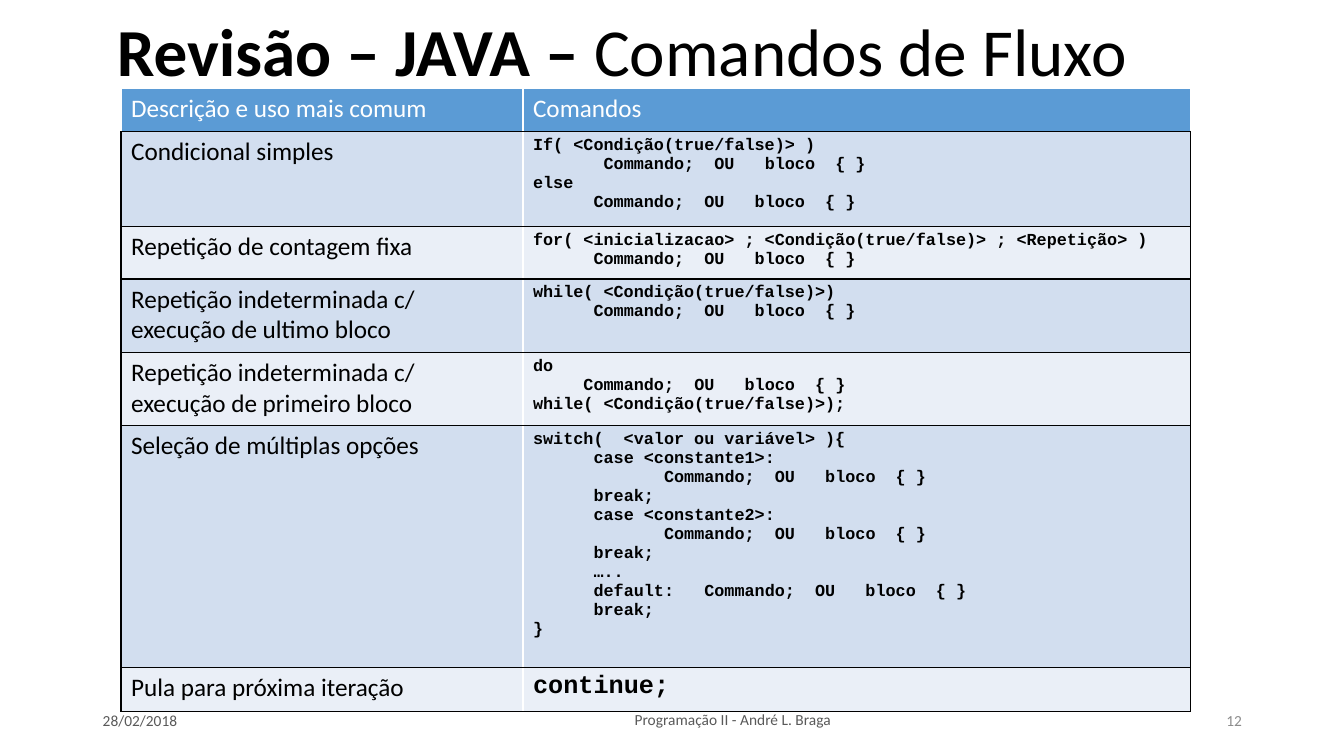
from lxml.etree import SubElement
from pptx import Presentation
from pptx.dml.color import RGBColor as Rgb
from pptx.enum.text import MSO_ANCHOR as Anchor, MSO_AUTO_SIZE as Fit, PP_ALIGN as Align
from pptx.oxml.ns import qn
from pptx.util import Cm, Pt

HUES = {"black": "000000", "white": "FFFFFF", "head": "5B9BD5",
        "dark": "D2DEEF", "light": "EAEFF7", "gray": "595959", "pale": "8C8C8C"}
CHAR = 0.254
BLOCK = "Commando;  OU   bloco  { }"
CASE = [(13, BLOCK), (6, "break;")]
ROWS = [
    (2.39, "Condicional simples", 12,
     [(0, "If( <Condição(true/false)> )"), (7, BLOCK), (0, "else"), (6, BLOCK)]),
    (1.33, "Repetição de contagem fixa", 12,
     [(0, "for( <inicializacao> ; <Condição(true/false)> ; <Repetição> )"), (6, BLOCK)]),
    (1.85, "Repetição indeterminada c/ execução de ultimo bloco", 12,
     [(0, "while( <Condição(true/false)>)"), (6, BLOCK)]),
    (1.85, "Repetição indeterminada c/ execução de primeiro bloco", 12,
     [(0, "do"), (5, BLOCK), (0, "while( <Condição(true/false)>);")]),
    (6.1, "Seleção de múltiplas opções", 12,
     [(0, "switch(  <valor ou variável> ){"),
      (6, "case <constante1>:"), *CASE,
      (6, "case <constante2>:"), *CASE,
      (6, "….."), (6, "default:   " + BLOCK), (6, "break;"), (0, "}")]),
    (1.1, "Pula para próxima iteração", 18, [(0, "continue;")]),
]


def style(para, size, hue, face="Calibri", bold=None):
    font = para.font
    font.size, font.name, font.bold = Pt(size), face, bold
    font.color.rgb = Rgb.from_string(HUES[hue])


def put_title(slide):
    title = slide.shapes.title
    title.left, title.top, title.width, title.height = Cm(2.69), Cm(-0.05), Cm(30.2), Cm(2.84)
    frame = title.text_frame
    frame.auto_size, frame.vertical_anchor = Fit.NONE, Anchor.MIDDLE
    para = frame.paragraphs[0]
    para.alignment, para.line_spacing = Align.LEFT, 0.9
    style(para, 48, "black")
    for text, bold in (("Revisão – JAVA – ", True), ("Comandos de Fluxo", False)):
        run = para.add_run()
        run.text, run.font.bold = text, bold


def put_note(slide, text, left, top, width, align, hue):
    box = slide.shapes.add_textbox(Cm(left), Cm(top), Cm(width), Cm(1.01))
    frame = box.text_frame
    frame.word_wrap, frame.vertical_anchor = True, Anchor.MIDDLE
    para = frame.paragraphs[0]
    para.text, para.alignment = text, align
    style(para, 11, hue)


def paint(cell, fill, edges):
    props = cell._tc.get_or_add_tcPr()
    for side, hue in zip("LRTB", edges):
        line = SubElement(props, qn("a:ln" + side), w=str(Pt(1)))
        solid = SubElement(line, qn("a:solidFill"))
        SubElement(solid, qn("a:srgbClr"), val=HUES[hue])
    cell.fill.solid()
    cell.fill.fore_color.rgb = Rgb.from_string(HUES[fill])


def put_code(cell, lines, size):
    frame = cell.text_frame
    for i, (depth, text) in enumerate(lines):
        para = frame.add_paragraph() if i else frame.paragraphs[0]
        para.text = text
        style(para, size, "black", "Courier New", True)
        if depth:
            props = para._p.get_or_add_pPr()
            props.set("marL", str(Cm(depth * CHAR)))
            props.set("indent", "0")


def put_label(cell, text, hue):
    cell.text = text
    style(cell.text_frame.paragraphs[0], 18, hue, bold=False)


def put_table(slide):
    table = slide.shapes.add_table(len(ROWS) + 1, 2, Cm(3.05), Cm(2.24),
                                   Cm(26.95), Cm(15.68)).table
    table.first_row = table.horz_banding = False
    table.columns[0].width, table.columns[1].width = Cm(10.13), Cm(16.82)
    table.rows[0].height = Cm(1.07)
    for col, text in enumerate(("Descrição e uso mais comum", "Comandos")):
        put_label(table.cell(0, col), text, "white")
        paint(table.cell(0, col), "head", ("white", "white", "white", "black"))
    for row, (height, label, size, lines) in enumerate(ROWS, 1):
        table.rows[row].height = Cm(height)
        left, right = table.cell(row, 0), table.cell(row, 1)
        fill = "dark" if row % 2 else "light"
        put_label(left, label, "black")
        put_code(right, lines, size)
        paint(left, fill, ("black", "white", "black", "black"))
        paint(right, fill, ("white", "black", "black", "black"))


def main():
    deck = Presentation()
    deck.slide_width, deck.slide_height = Cm(33.87), Cm(19.05)
    slide = deck.slides.add_slide(deck.slide_layouts[5])
    put_title(slide)
    put_note(slide, "Programação II - André L. Braga", 9.2, 17.63, 18.54, Align.CENTER, "gray")
    put_note(slide, "12", 23.93, 17.65, 7.62, Align.RIGHT, "pale")
    put_table(slide)
    put_note(slide, "28/02/2018", 2.34, 17.65, 7.62, Align.LEFT, "gray")
    deck.save("out.pptx")


if __name__ == "__main__":
    main()
